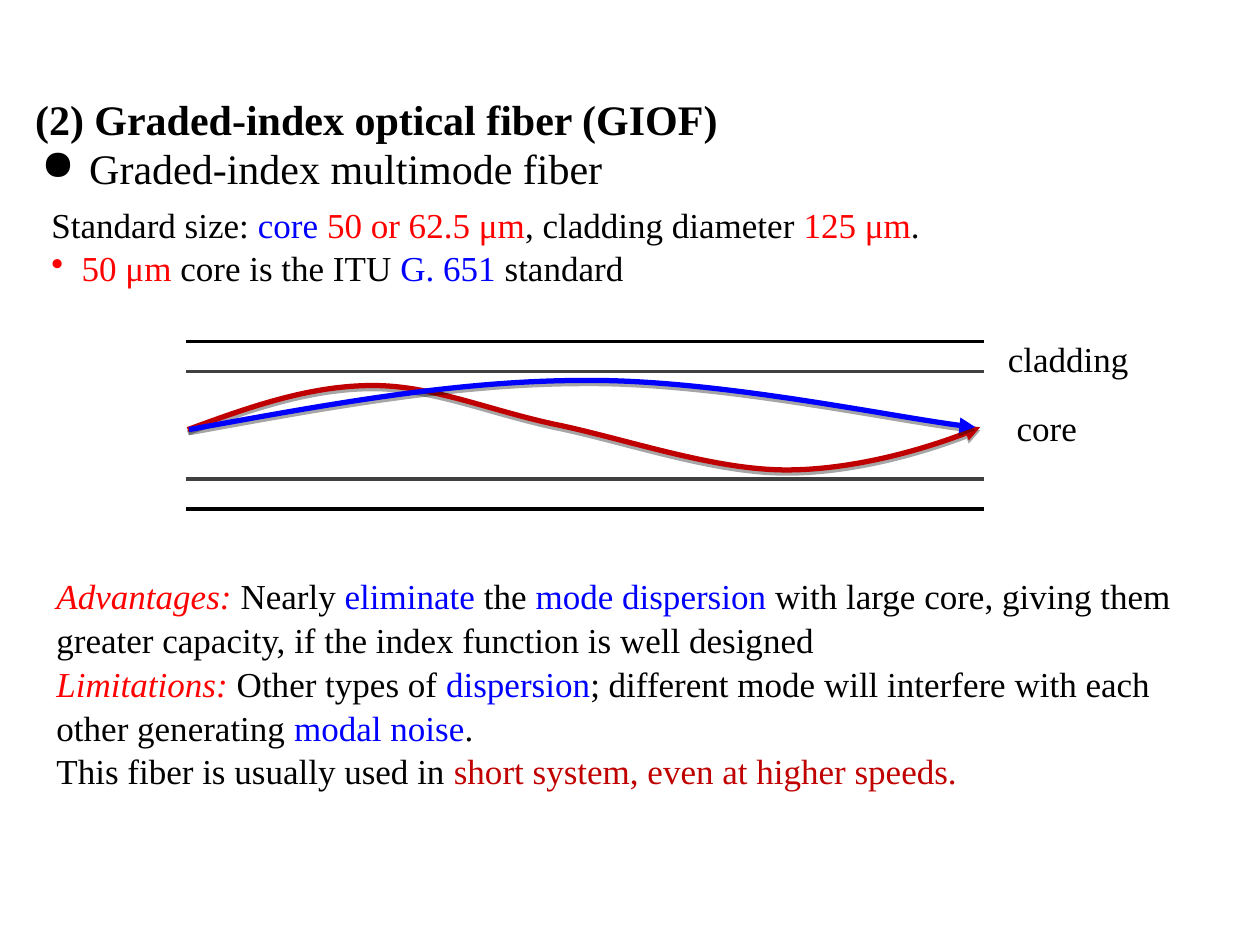
import pptx
import pptx.util
import pptx.dml.color
import pptx.enum.shapes
import pptx.enum.text
import pptx.oxml
import pptx.oxml.ns
from pptx.util import Inches
from lxml import etree

C = {"black": "000000", "blue": "0000FF", "red": "FF0000",
     "dark_red": "C00000", "gray": "404040"}
NS = pptx.oxml.ns.nsdecls("a")
qn = pptx.oxml.ns.qn

prs = pptx.Presentation()
prs.slide_width, prs.slide_height = Inches(10), Inches(7.5)
s = prs.slides.add_slide(prs.slide_layouts[6])


def add_text(box, paragraphs, size=20, bold=False, wrap=True, spacing=None, bullets=None):
    tf = s.shapes.add_textbox(*[Inches(v) for v in box]).text_frame
    tf.word_wrap = wrap
    if not wrap:
        tf.auto_size = pptx.enum.text.MSO_AUTO_SIZE.SHAPE_TO_FIT_TEXT
    for i, runs in enumerate(paragraphs):
        p = tf.paragraphs[0] if i == 0 else tf.add_paragraph()
        if spacing:
            p.line_spacing = pptx.util.Pt(spacing)
        for text, color, *style in runs:
            r = p.add_run()
            r.text = text
            r.font.name = "Times New Roman"
            r.font.size = pptx.util.Pt(size)
            r.font.bold = bold
            r.font.italic = "italic" in style
            r.font.color.rgb = pptx.dml.color.RGBColor.from_string(C[color])
        if bullets and i in bullets:
            char, color, indent = bullets[i]
            pPr = p._p.get_or_add_pPr()
            pPr.set("marL", str(Inches(indent)))
            pPr.set("indent", str(-Inches(indent)))
            for xml in (f'<a:buClr {NS}><a:srgbClr val="{C[color]}"/></a:buClr>',
                        f'<a:buChar {NS} char="{char}"/>'):
                pPr.append(pptx.oxml.parse_xml(xml))


add_text((0.23, 1.08, 5.91, 0.47), [[("Graded-index multimode fiber", "black")]],
         size=24, bullets={0: ("●", "black", 0.38)})
add_text((0.18, 0.69, 5.62, 0.5), [[("(2) Graded-index optical fiber (GIOF)", "black")]],
         size=24, bold=True, wrap=False)
add_text((0.31, 1.55, 9.45, 0.87), [
    [("Standard size: ", "black"), ("core ", "blue"), ("50 or 62.5 μm", "red"),
     (", cladding diameter ", "black"), ("125 μm", "red"), (".", "black")],
    [("50 μm ", "red"), ("core is the ITU ", "black"), ("G. 651 ", "blue"),
     ("standard", "black")],
], spacing=25, bullets={1: ("•", "red", 0.24)})
add_text((0.35, 4.5, 9.26, 1.92), [
    [("Advantages: ", "red", "italic"), ("Nearly ", "black"), ("eliminate", "blue"),
     (" the ", "black"), ("mode dispersion ", "blue"),
     ("with large core, giving them greater capacity, "
      "if the index function is well designed", "black")],
    [("Limitations: ", "red", "italic"), ("Other types of ", "black"),
     ("dispersion", "blue"),
     ("; different mode will interfere with each other generating ", "black"),
     ("modal noise", "blue"), (".", "black")],
    [("This fiber is usually used in ", "black"),
     ("short system, even at higher speeds.", "dark_red")],
], spacing=25)

for y, color in ((3.8, "gray"), (4.04, "black"), (2.71, "black"), (2.95, "gray")):
    sp = s.shapes.add_connector(pptx.enum.shapes.MSO_CONNECTOR.STRAIGHT,
                                Inches(1.48), Inches(y), Inches(7.81), Inches(y))
    sp.line.color.rgb = pptx.dml.color.RGBColor.from_string(C[color])
    sp.line.width = pptx.util.Pt(2)
    etree.SubElement(sp._element.spPr, qn("a:effectLst"))

add_text((7.97, 3.18, 0.68, 0.44), [[("core", "black")]], wrap=False)
add_text((7.9, 2.63, 1.16, 0.44), [[("cladding", "black")]], wrap=False)

rays = [
    ("dark_red", [(1.49, 3.41), (1.98, 3.23), (2.46, 3.06), (2.96, 3.06),
                  (3.45, 3.06), (3.91, 3.27), (4.46, 3.38),
                  (5.01, 3.5), (5.68, 3.73), (6.24, 3.73),
                  (6.79, 3.73), (7.52, 3.51), (7.78, 3.39)]),
    ("blue", [(1.5, 3.41), (2.55, 3.22), (3.6, 3.02), (4.64, 3.02),
              (5.68, 3.01), (7.27, 3.35), (7.74, 3.39)]),
]
for color, points in rays:
    start, *rest = [(Inches(x), Inches(y)) for x, y in points]
    fb = s.shapes.build_freeform(*start)
    fb.add_line_segments(rest, close=False)
    sp = fb.convert_to_shape()
    sp.fill.background()
    sp.line.color.rgb = pptx.dml.color.RGBColor.from_string(C[color])
    sp.line.width = pptx.util.Pt(3)
    etree.SubElement(sp.line._get_or_add_ln(), qn("a:tailEnd"), type="triangle")
    segments = list(sp._element.iter(qn("a:lnTo")))
    for i in range(0, len(segments), 3):
        curve = etree.Element(qn("a:cubicBezTo"))
        segments[i].addprevious(curve)
        for segment in segments[i:i + 3]:
            curve.append(segment[0])
            segment.getparent().remove(segment)
    sp._element.spPr.append(pptx.oxml.parse_xml(
        f'<a:effectLst {NS}><a:outerShdw dist="{pptx.util.Pt(1.8)}" dir="5400000" '
        f'rotWithShape="0"><a:srgbClr val="{C["black"]}"><a:alpha val="35000"/>'
        '</a:srgbClr></a:outerShdw></a:effectLst>'))

prs.save("out.pptx")
